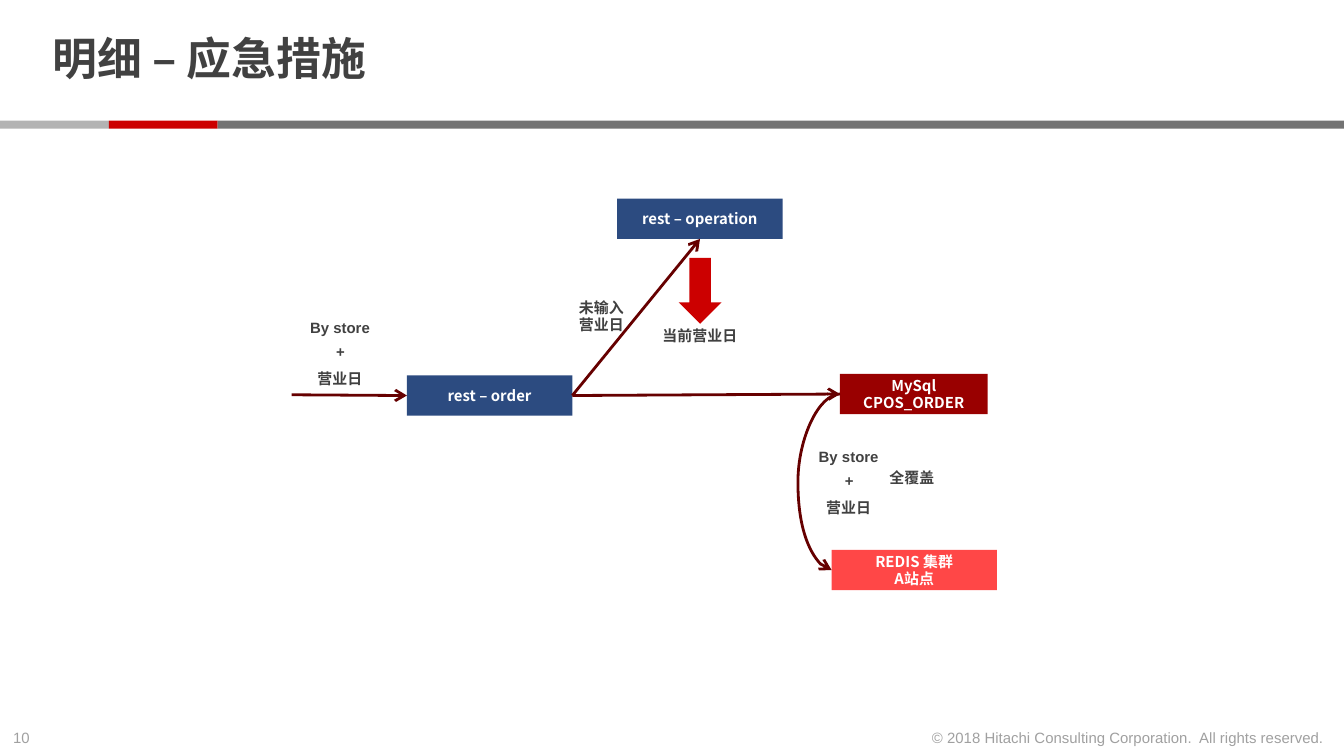
from lxml import etree
from pptx import Presentation
from pptx.dml.color import RGBColor
from pptx.enum.shapes import MSO_CONNECTOR, MSO_SHAPE
from pptx.enum.text import MSO_ANCHOR, MSO_AUTO_SIZE, PP_ALIGN
from pptx.oxml.ns import qn
from pptx.util import Pt

STRAIGHT, CURVE = MSO_CONNECTOR.STRAIGHT, MSO_CONNECTOR.CURVE
RECT, DOWN_ARROW = MSO_SHAPE.RECTANGLE, MSO_SHAPE.DOWN_ARROW
MIDDLE, FIT = MSO_ANCHOR.MIDDLE, MSO_AUTO_SIZE.SHAPE_TO_FIT_TEXT
LEFT, CENTER, RIGHT = PP_ALIGN.LEFT, PP_ALIGN.CENTER, PP_ALIGN.RIGHT

INK, MUTED, WHITE = "414141", "A0A0A0", "FFFFFF"
BLUE, RED, DARK_RED, LIGHT_RED, FLOW = "2C4B80", "CC0000", "990000", "FF4747", "660000"
BOTTOM_SITE, LEFT_SITE, RIGHT_SITE = 2, 1, 3
LABEL_HEIGHT = 17


def color(value):
    return RGBColor.from_string(value)


def write(frame, lines, size, ink, font, bold=True, align=LEFT):
    for index, line in enumerate(lines):
        paragraph = frame.paragraphs[0] if index == 0 else frame.add_paragraph()
        paragraph.text = line
        paragraph.alignment = align
        paragraph.font.size = Pt(size)
        paragraph.font.bold = bold
        paragraph.font.name = font
        paragraph.font.color.rgb = color(ink)


def add_title(slide, text):
    title = slide.shapes.title
    title.left, title.top, title.width, title.height = Pt(21), Pt(4.3), Pt(555), Pt(57.6)
    frame = title.text_frame
    frame.vertical_anchor = MIDDLE
    frame.margin_left = frame.margin_right = Pt(7.2)
    frame.margin_top = frame.margin_bottom = 0
    write(frame, [text], 24, INK, "Arial")
    frame.paragraphs[0].line_spacing = 0.85


def add_block(slide, kind, left, top, width, height, fill):
    block = slide.shapes.add_shape(kind, Pt(left), Pt(top), Pt(width), Pt(height))
    block.shadow.inherit = False
    block.fill.solid()
    block.fill.fore_color.rgb = color(fill)
    block.line.fill.background()
    return block


def add_node(slide, left, top, width, fill, *lines):
    node = add_block(slide, RECT, left, top, width, 21.6, fill)
    node.text_frame.vertical_anchor = MIDDLE
    write(node.text_frame, lines, 8, WHITE, "Noto Sans CJK SC", align=CENTER)
    return node


def add_label(slide, left, top, width, *lines, height=LABEL_HEIGHT, ink=INK, bold=True, align=LEFT):
    label = slide.shapes.add_textbox(Pt(left), Pt(top), Pt(width), Pt(height))
    label.text_frame.word_wrap = False
    label.text_frame.auto_size = FIT
    write(label.text_frame, lines, 8, ink, "Arial", bold, align)


def add_store_key(slide, left, top):
    add_label(slide, left, top, 46.8, "By store")
    add_label(slide, left + 14, top + 13, 19.4, "+")
    add_label(slide, left + 4, top + 27.4, 38.9, "营业日")


def add_flow(slide, kind, target, target_site, start, source=None, source_site=None):
    flow = slide.shapes.add_connector(kind, 0, 0, Pt(start[0]), Pt(start[1]))
    flow.begin_connect(target, target_site)
    if source is not None:
        flow.end_connect(source, source_site)
    flow.line.color.rgb = color(FLOW)
    flow.line.width = Pt(1.5)
    etree.SubElement(flow.line._get_or_add_ln(), qn("a:headEnd"), type="arrow")
    etree.SubElement(flow._element.spPr, qn("a:effectLst"))
    return flow


def bend(flow, ratio):
    guides = flow._element.spPr.find(qn("a:prstGeom")).get_or_add_avLst()
    etree.SubElement(guides, qn("a:gd"), name="adj1", fmla=f"val {round(ratio * 100000)}")


def main():
    deck = Presentation()
    deck.slide_width, deck.slide_height = Pt(720), Pt(405)
    slide = deck.slides.add_slide(deck.slide_layouts[5])

    add_title(slide, "明细 – 应急措施")
    for left, width, fill in ((0, 58.3, "B3B3B3"), (58.3, 58.3, RED), (116.6, 603.4, "737373")):
        add_block(slide, RECT, left, 64.6, width, 4.4, fill)
    add_label(slide, 0, 387, 24.5, "10", ink=MUTED, bold=False)
    add_label(slide, 489, 387, 227.5, "© 2018 Hitachi Consulting Corporation.\u00a0 All rights reserved.".replace("\u00a0", " "),
              ink=MUTED, bold=False, align=RIGHT)

    order = add_node(slide, 218, 201.1, 88.6, BLUE, "rest – order")
    database = add_node(slide, 450, 200.3, 79.2, DARK_RED, "MySql", "CPOS_ORDER")
    cache = add_node(slide, 445.5, 294.6, 88.6, LIGHT_RED, "REDIS 集群", "A站点")
    operation = add_node(slide, 330.7, 106.4, 88.6, BLUE, "rest – operation")
    add_block(slide, DOWN_ARROW, 363.6, 138.2, 23, 35.3, RED)

    order_exit = (306.6, 211.9)
    add_flow(slide, STRAIGHT, order, LEFT_SITE, (156.2, 211.5))
    add_flow(slide, STRAIGHT, database, LEFT_SITE, order_exit, order, RIGHT_SITE)
    add_flow(slide, STRAIGHT, operation, BOTTOM_SITE, order_exit, order, RIGHT_SITE)
    refresh = add_flow(slide, CURVE, cache, LEFT_SITE, (450, 211.1), database, LEFT_SITE)
    bend(refresh, -4)

    add_store_key(slide, 159, 167)
    add_store_key(slide, 431.5, 236)
    add_label(slide, 303.1, 156.2, 38.9, "未输入", "营业日", height=26.6)
    add_label(slide, 347.8, 171.4, 54.7, "当前营业日")
    add_label(slide, 469.4, 247.7, 38.9, "全覆盖")

    deck.save("out.pptx")


if __name__ == "__main__":
    main()
